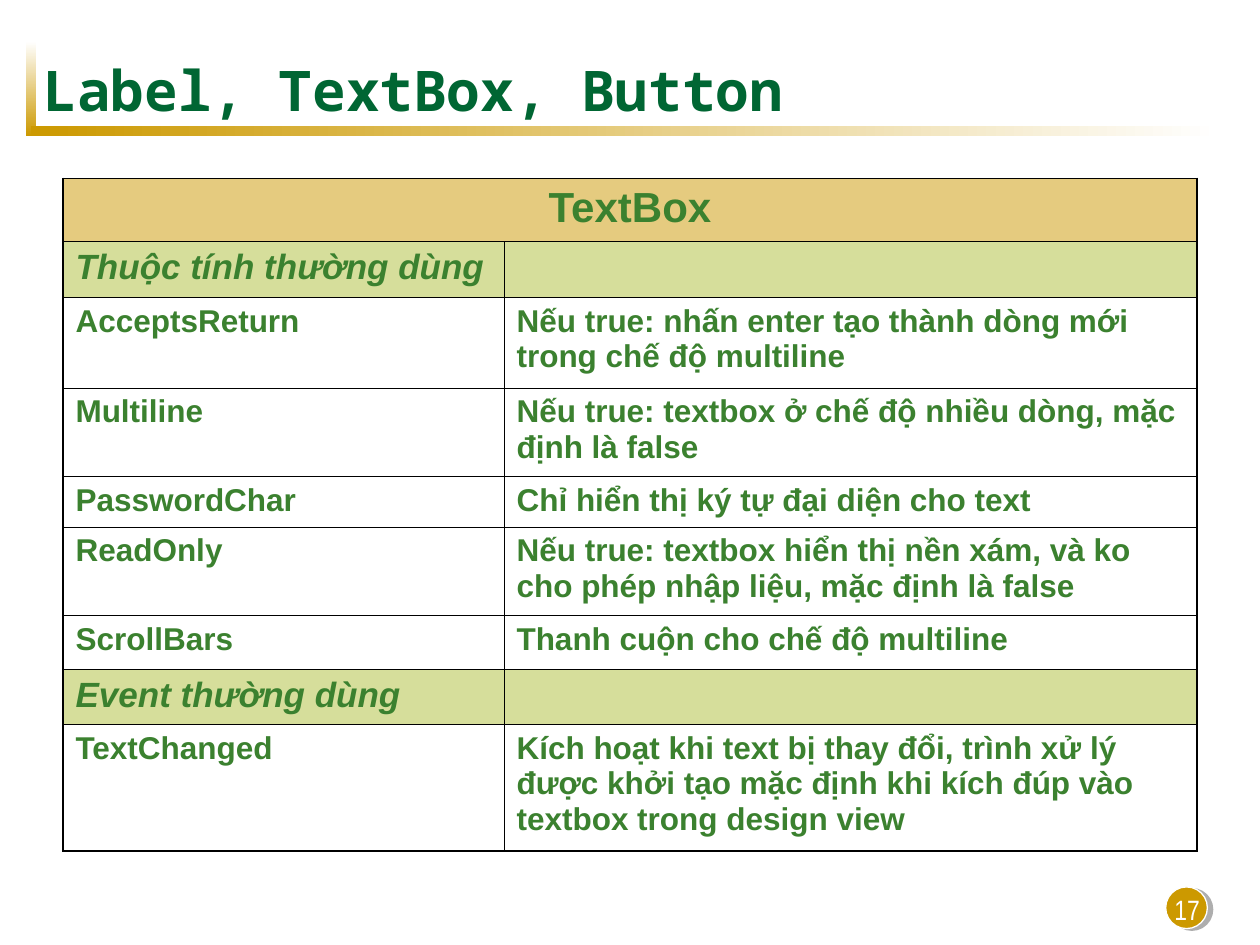
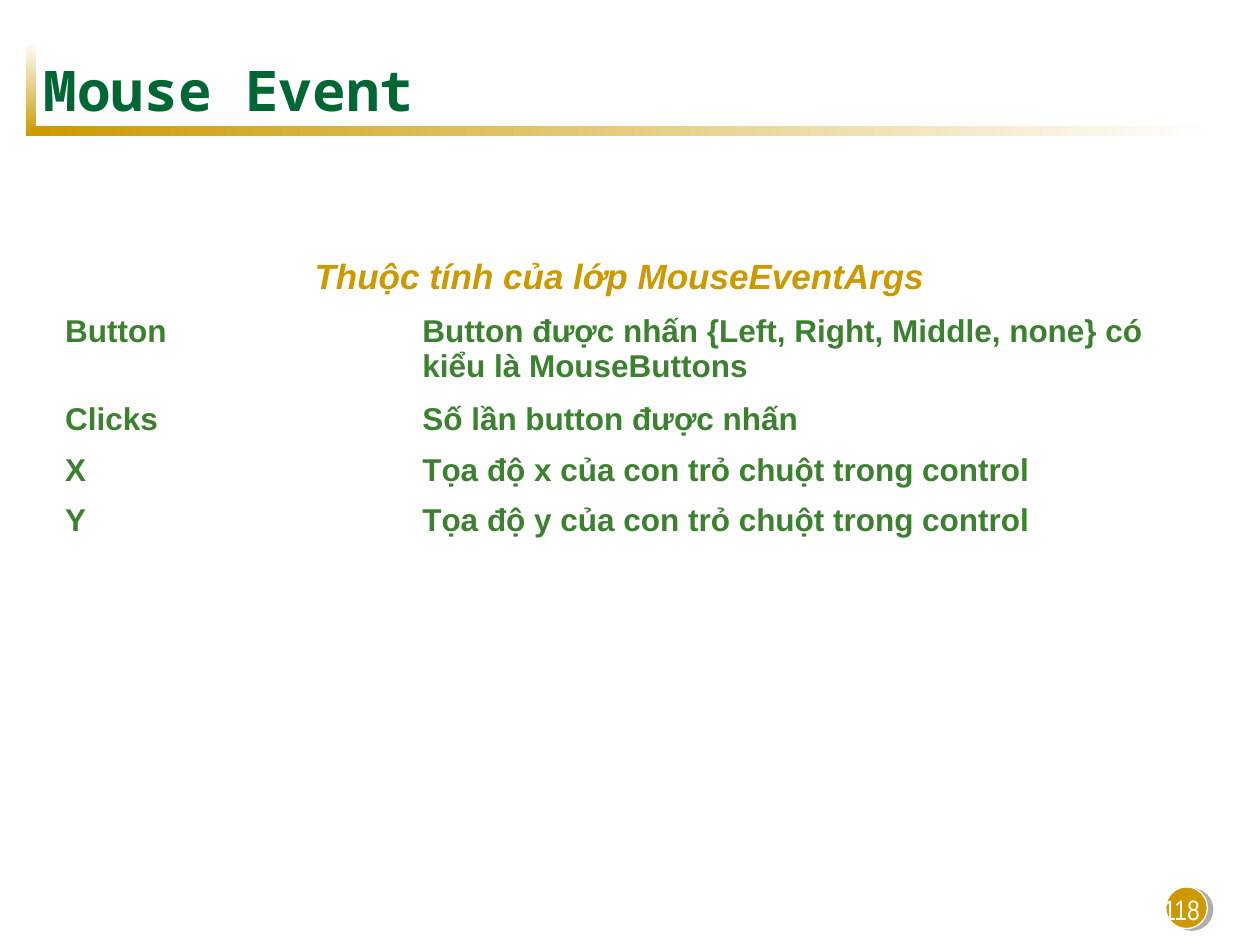
from collections import namedtuple

import pptx
import pptx.dml.color
import pptx.enum.shapes
import pptx.enum.text
import pptx.oxml.ns
import pptx.util
from lxml import etree

Cm = pptx.util.Cm
Pt = pptx.util.Pt
SHAPE = pptx.enum.shapes.MSO_SHAPE
ALIGN = pptx.enum.text.PP_ALIGN
ANCHOR = pptx.enum.text.MSO_ANCHOR

# Boxes are in centimetres
Box = namedtuple("Box", "left top width height")
PAGE = Box(0, 0, 25.4, 19.05)

COLORS = {
    "gold": "CC9900",
    "white": "FFFFFF",
    "title": "006633",
    "green": "3B812F",
    "olive": "AFBF39",
    "shadow": "5F5F5F",
    "border": "000000",
}

# Text formats: color, then attributes of the font
FORMATS = {
    "title": ("title", {"name": "Noto Sans Mono", "size": Pt(32), "bold": True}),
    "number": ("white", {"name": "Arial Narrow", "size": Pt(16)}),
    "header": ("green", {"name": "Arial", "size": Pt(24), "bold": True}),
    "section": ("green", {"name": "Arial", "size": Pt(20), "bold": True, "italic": True}),
    "caption": ("gold", {"name": "Arial", "size": Pt(20), "bold": True, "italic": True}),
    "entry": ("green", {"name": "Arial", "size": Pt(18), "bold": True, "italic": False}),
}
ROW_FILLS = {"header": "gold", "section": "olive"}
CENTERED_ROWS = {"header", "caption"}
OUTER_BORDER, INNER_BORDER = Pt(1.08), Pt(0.45)

# Rows: height, format, texts; a single text spans both columns
TEXTBOX_ROWS = [
    (1.27, "header", ["TextBox"]),
    (1.12, "section", ["Thuộc tính thường dùng", ""]),
    (1.83, "entry", ["AcceptsReturn",
                     "Nếu true: nhấn enter tạo thành dòng mới trong chế độ multiline"]),
    (1.78, "entry", ["Multiline",
                     "Nếu true: textbox ở chế độ nhiều dòng, mặc định là false"]),
    (1.02, "entry", ["PasswordChar", "Chỉ hiển thị ký tự đại diện cho text"]),
    (1.78, "entry", ["ReadOnly", "Nếu true: textbox hiển thị nền xám, và ko cho phép "
                                 "nhập liệu, mặc định là false"]),
    (1.09, "entry", ["ScrollBars", "Thanh cuộn cho chế độ multiline"]),
    (1.12, "section", ["Event thường dùng", ""]),
    (2.54, "entry", ["TextChanged", "Kích hoạt khi text bị thay đổi, trình xử lý được khởi "
                                    "tạo mặc định khi kích đúp vào textbox trong design view"]),
]
MOUSE_ROWS = [
    (1.12, "caption", ["Thuộc tính của lớp MouseEventArgs"]),
    (1.78, "entry", ["Button", "Button được nhấn {Left, Right, Middle, none} có kiểu là "
                               "MouseButtons"]),
    (1.02, "entry", ["Clicks", "Số lần button được nhấn"]),
    (1.02, "entry", ["X", "Tọa độ x của con trỏ chuột trong control"]),
    (1.02, "entry", ["Y", "Tọa độ y của con trỏ chuột trong control"]),
]


def rgb(color):
    return pptx.dml.color.RGBColor.from_string(COLORS[color])


def add_element(parent, tag, **attributes):
    element = etree.SubElement(parent, pptx.oxml.ns.qn(tag))
    for key, value in attributes.items():
        element.set(key, str(value))
    return element


def place(box, left, top, width, height):
    """Lengths for a part offset from the corner of its box."""
    return [Cm(v) for v in (box.left + left, box.top + top, width, height)]


def write(frame, text, style, align=ALIGN.LEFT):
    paragraph = frame.paragraphs[0]
    paragraph.alignment = align
    run = paragraph.add_run()
    run.text = text
    color, attributes = FORMATS[style]
    for key, value in attributes.items():
        setattr(run.font, key, value)
    run.font.color.rgb = rgb(color)


def add_text(slide, bounds, text, style, align, anchor):
    frame = slide.shapes.add_textbox(*bounds).text_frame
    frame.word_wrap = True
    frame.vertical_anchor = anchor
    write(frame, text, style, align)


def add_bar(slide, bounds, angle, start, end):
    bar = slide.shapes.add_shape(SHAPE.RECTANGLE, *bounds)
    bar.shadow.inherit = False
    bar.line.fill.background()
    bar.fill.gradient()
    bar.fill.gradient_angle = angle
    for stop, color in zip(bar.fill.gradient_stops, (start, end)):
        stop.color.rgb = rgb(color)


def add_heading(slide, box, title):
    # Fading corner bars
    add_bar(slide, place(box, 0, 0, 0.2, 1.9), 270, "white", "gold")
    add_bar(slide, place(box, 0.1, 1.7, 23.93, 0.2), 0, "gold", "white")
    add_text(slide, place(box, 0.1, 0.23, 22.86, 1.47), title, "title",
             ALIGN.LEFT, ANCHOR.MIDDLE)


def add_page_number(slide, box, number):
    # Badge with a hard shadow
    badge = slide.shapes.add_shape(SHAPE.OVAL, *place(box, 4.98, 0.35, 0.84, 0.84))
    badge.fill.solid()
    badge.fill.fore_color.rgb = rgb("gold")
    badge.line.color.rgb = rgb("white")
    badge.line.width = Pt(0.75)
    badge.shadow.inherit = False
    effects = badge._element.spPr.find(pptx.oxml.ns.qn("a:effectLst"))
    shadow = add_element(effects, "a:outerShdw", blurRad=0, dist=Pt(3.2),
                         dir=18 * 60000, algn="ctr", rotWithShape=0)
    tone = add_element(shadow, "a:srgbClr", val=COLORS["shadow"])
    add_element(tone, "a:alpha", val=50000)
    add_text(slide, place(box, 0, 0, box.width, box.height), number, "number",
             ALIGN.RIGHT, ANCHOR.BOTTOM)


def fill_cell(cell, color):
    if color is None:
        cell.fill.background()
        return
    cell.fill.solid()
    cell.fill.fore_color.rgb = rgb(color)
    tone = cell._tc.tcPr.find(".//" + pptx.oxml.ns.qn("a:srgbClr"))
    add_element(tone, "a:alpha", val=50000)


def border_cell(cell, outer_sides, bordered):
    properties = cell._tc.get_or_add_tcPr()
    for index, side in enumerate("LRTB"):
        width = OUTER_BORDER if side in outer_sides else INNER_BORDER
        border = add_element(properties, "a:ln" + side, w=width if bordered else 0)
        if bordered:
            solid = add_element(border, "a:solidFill")
            add_element(solid, "a:srgbClr", val=COLORS["border"])
        else:
            add_element(border, "a:noFill")
        properties.insert(index, border)


def add_member_table(slide, box, name_width, rows, bordered):
    table = slide.shapes.add_table(len(rows), 2, *place(box, 0, 0, box.width, box.height)).table
    table.first_row = table.horz_banding = False
    for column, width in zip(table.columns, (name_width, box.width - name_width)):
        column.width = Cm(width)
    for r, (height, style, texts) in enumerate(rows):
        table.rows[r].height = Cm(height)
        spans = len(texts) == 1
        if spans:
            table.cell(r, 0).merge(table.cell(r, 1))
        align = ALIGN.CENTER if style in CENTERED_ROWS else ALIGN.LEFT
        for c in range(2):
            cell = table.cell(r, c)
            fill_cell(cell, ROW_FILLS.get(style))
            outer = {"L": c == 0, "R": c == 1 or spans,
                     "T": r == 0, "B": r == len(rows) - 1}
            border_cell(cell, [side for side in outer if outer[side]], bordered)
            if c < len(texts) and texts[c]:
                write(cell.text_frame, texts[c], style, align)


def add_member_slide(deck, box, title, number, name_width, rows, bordered, offset):
    slide = deck.slides.add_slide(deck.slide_layouts[6])
    add_heading(slide, Box(box.left + 0.53, box.top + 0.84, 24.03, 1.9), title)
    add_page_number(slide, Box(box.left + 18.52, box.top + 17.53, 5.92, 1.27), number)
    left, top = offset
    table_height = sum(height for height, _, _ in rows)
    add_member_table(slide, Box(box.left + left, box.top + top, 22.86, table_height),
                     name_width, rows, bordered)


def main():
    deck = pptx.Presentation()
    deck.slide_width, deck.slide_height = Cm(PAGE.width), Cm(PAGE.height)
    add_member_slide(deck, PAGE, "Label, TextBox, Button", "17",
                     8.89, TEXTBOX_ROWS, True, (1.27, 3.6))
    add_member_slide(deck, PAGE, "Mouse Event", "118",
                     7.2, MOUSE_ROWS, False, (1.06, 5.08))
    deck.save("out.pptx")


if __name__ == "__main__":
    main()
